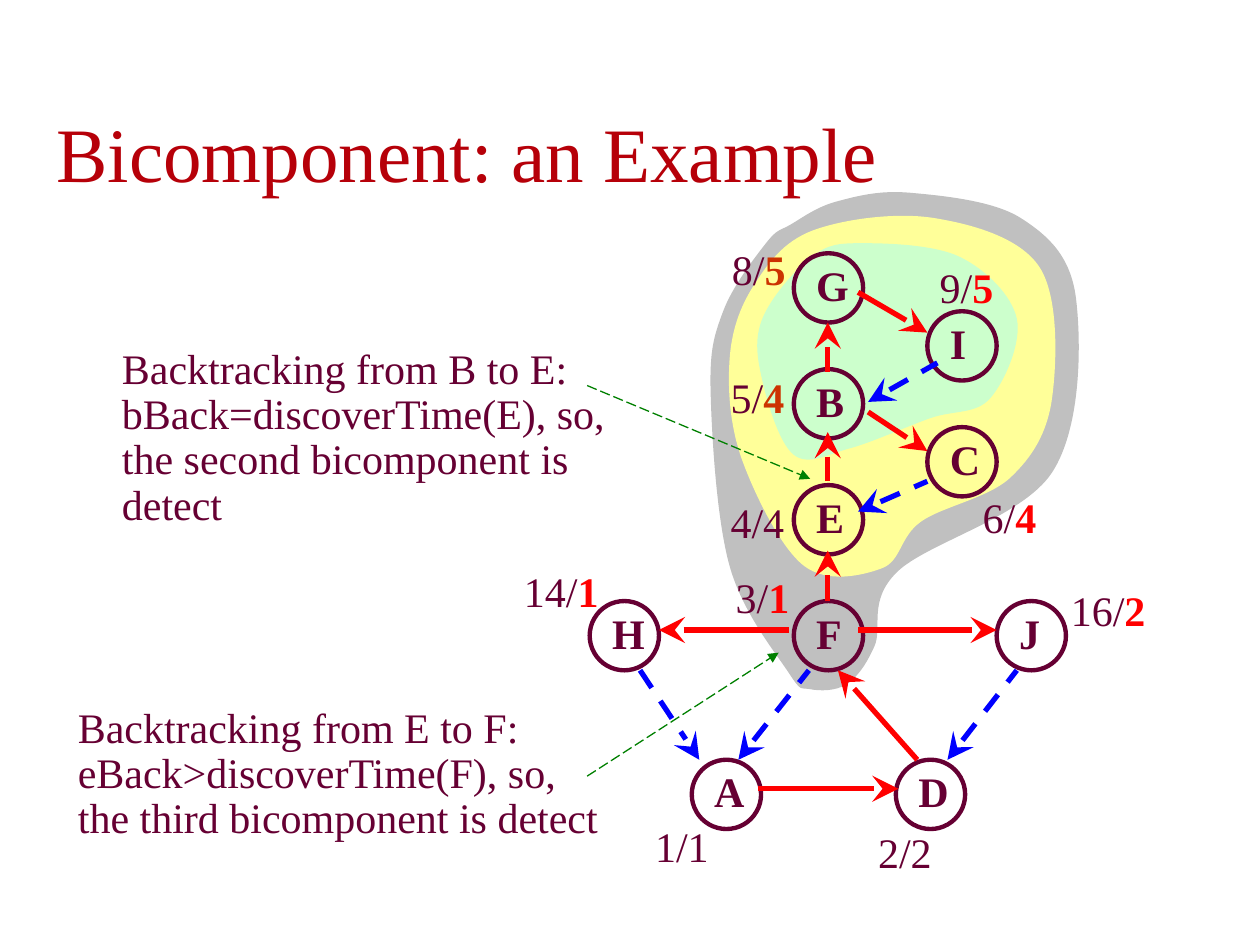
from dataclasses import dataclass
from typing import Any

from lxml.etree import SubElement
from pptx import Presentation
from pptx.dml.color import RGBColor
from pptx.enum.dml import MSO_LINE
from pptx.enum.shapes import MSO_CONNECTOR, MSO_SHAPE
from pptx.enum.text import MSO_ANCHOR
from pptx.oxml.ns import qn
from pptx.util import Emu, Pt

COLORS = {
    "title": "B60009", "ink": "660033", "tree": "FF0000", "back": "0000FF",
    "low": "CC3300", "pointer": "008000",
    "outer": "C0C0C0", "middle": "FFFF99", "inner": "CCFFCC",
}
PX = 9144
NODE = 55


def px(value):
    return Emu(round(value * PX))


def color(name):
    return RGBColor.from_string(COLORS[name])


@dataclass
class Canvas:
    slide: Any
    font: str = "Times New Roman"
    size: int = 24

    def region(self, anchors, fill):
        points = [(px(x), px(y)) for x, y in anchors]
        builder = self.slide.shapes.build_freeform(*points[0])
        builder.add_line_segments(points[1:] + points[:1], close=True)
        shape = builder.convert_to_shape()
        shape.shadow.inherit = False
        shape.fill.solid()
        shape.fill.fore_color.rgb = color(fill)
        shape.line.fill.background()
        self.round_corners(shape, points)

    def round_corners(self, shape, points):
        count = len(points)
        for index, segment in enumerate(list(shape._element.iter(qn("a:lnTo")))):
            before, start, end, after = (points[(index + step) % count] for step in (-1, 0, 1, 2))
            leaving = [b + (c - a) / 6 for a, b, c in zip(before, start, end)]
            arriving = [b - (c - a) / 6 for a, b, c in zip(start, end, after)]
            segment.clear()
            segment.tag = qn("a:lnTo")
            curve = SubElement(segment.getparent(), qn("a:cubicBezTo"))
            segment.getparent().replace(segment, curve)
            for x, y in (leaving, arriving, end):
                SubElement(curve, qn("a:pt"), x=str(round(x - shape.left)), y=str(round(y - shape.top)))

    def text(self, left, top, width, height, paragraphs, size=None, anchor=MSO_ANCHOR.TOP, parent=None):
        box = (parent or self.slide).shapes.add_textbox(px(left), px(top), px(width), px(height))
        frame = box.text_frame
        frame.word_wrap = True
        frame.vertical_anchor = anchor
        for index, runs in enumerate(paragraphs):
            paragraph = frame.add_paragraph() if index else frame.paragraphs[0]
            if index:
                paragraph.line_spacing = 0.9
            for words, fill, bold in runs:
                run = paragraph.add_run()
                run.text = words
                run.font.name = self.font
                run.font.size = Pt(size or self.size)
                run.font.bold = bold
                run.font.color.rgb = color(fill)

    def node(self, name, left, top):
        group = self.slide.shapes.add_group_shape()
        shape = group.shapes.add_shape(MSO_SHAPE.OVAL, px(left), px(top), px(NODE), px(NODE))
        shape.shadow.inherit = False
        shape.fill.background()
        shape.line.color.rgb = color("ink")
        shape.line.width = Pt(2.5)
        self.text(left + 8, top, 47, 50, [[(name, "ink", True)]], parent=group)

    def label(self, left, top, discovered, back, fill):
        if fill == "ink":
            runs = [(f"{discovered}/{back}", "ink", False)]
        else:
            runs = [(f"{discovered}/", "ink", False), (back, fill, True)]
        self.text(left, top, 148, 50, [runs])

    def arrow(self, start, end, fill, tip="tailEnd", width=3, dash=None, head="stealth", head_size="lg"):
        line = self.slide.shapes.add_connector(
            MSO_CONNECTOR.STRAIGHT, *(px(value) for value in (*start, *end)))
        line.line.color.rgb = color(fill)
        line.line.width = Pt(width)
        if dash:
            line.line.dash_style = dash
        SubElement(line.line._get_or_add_ln(), qn(f"a:{tip}"), type=head, w=head_size, len=head_size)
        SubElement(line._element.spPr, qn("a:effectLst"))


REGIONS = {
    "outer": [(664, 160), (628, 178), (608, 193), (574, 247), (564, 311), (579, 449),
              (626, 534), (643, 547), (672, 543), (694, 513), (712, 454), (835, 375),
              (854, 237), (810, 173), (722, 153)],
    "middle": [(645, 183), (598, 227), (579, 286), (589, 365), (638, 449), (700, 451),
               (731, 414), (802, 379), (835, 316), (825, 212), (741, 173)],
    "inner": [(684, 193), (644, 204), (605, 253), (605, 302), (630, 361), (674, 356),
              (738, 332), (786, 316), (807, 253), (762, 204)],
}
NODES = {
    "G": (630, 201), "B": (630, 293), "I": (736, 247), "C": (736, 339),
    "J": (791, 477), "H": (468, 477), "D": (711, 603), "A": (549, 603),
    "E": (630, 385), "F": (630, 477),
}
TREE_EDGES = [
    ((657, 256), (657, 295), "headEnd"), ((657, 343), (657, 382), "headEnd"),
    ((681, 232), (736, 264), "tailEnd"), ((689, 327), (736, 358), "tailEnd"),
    ((657, 437), (657, 477), "headEnd"), ((523, 500), (626, 500), "headEnd"),
    ((681, 500), (791, 500), "tailEnd"), ((602, 626), (713, 626), "tailEnd"),
    ((665, 532), (728, 603), "headEnd"),
]
BACK_EDGES = [
    ((689, 319), (744, 288), "headEnd"), ((681, 406), (736, 382), "headEnd"),
    ((508, 532), (555, 603), "tailEnd"), ((752, 603), (807, 532), "headEnd"),
    ((586, 603), (642, 532), "headEnd"),
]
LABELS = [
    (510, 646, "1", "1", "ink"), (574, 449, "3", "1", "tree"), (570, 389, "4", "4", "ink"),
    (570, 290, "5", "4", "low"), (687, 651, "2", "2", "ink"), (571, 188, "8", "5", "low"),
    (736, 203, "9", "5", "tree"), (770, 385, "6", "4", "tree"),
    (406, 444, "14", "1", "tree"), (840, 459, "16", "2", "tree"),
]
NOTES = [
    (87, 267, 158, "Backtracking from B to E:",
     "bBack=discoverTime(E), so, the second bicomponent is detect", (466, 306), (643, 380)),
    (52, 552, 122, "Backtracking from E to F:",
     "eBack>discoverTime(F), so, the third bicomponent is detect", (466, 616), (618, 518)),
]


def main():
    presentation = Presentation()
    presentation.slide_width, presentation.slide_height = px(1000), px(750)
    canvas = Canvas(presentation.slides.add_slide(presentation.slide_layouts[6]))
    for fill, anchors in REGIONS.items():
        canvas.region(anchors, fill)
    canvas.text(35, 79, 945, 83, [[("Bicomponent: an Example", "title", False)]],
                size=44, anchor=MSO_ANCHOR.BOTTOM)
    for name, place in NODES.items():
        canvas.node(name, *place)
    for start, end, tip in TREE_EDGES:
        canvas.arrow(start, end, "tree", tip)
    for start, end, tip in BACK_EDGES:
        canvas.arrow(start, end, "back", tip, dash=MSO_LINE.DASH)
    for label in LABELS:
        canvas.label(*label)
    for left, top, height, heading, detail, start, end in NOTES:
        canvas.text(left, top, 443, height, [[(heading, "ink", False)], [(detail, "ink", False)]])
        canvas.arrow(start, end, "pointer", width=0.75, dash=MSO_LINE.LONG_DASH,
                     head="triangle", head_size="med")
    presentation.save("out.pptx")


if __name__ == "__main__":
    main()
